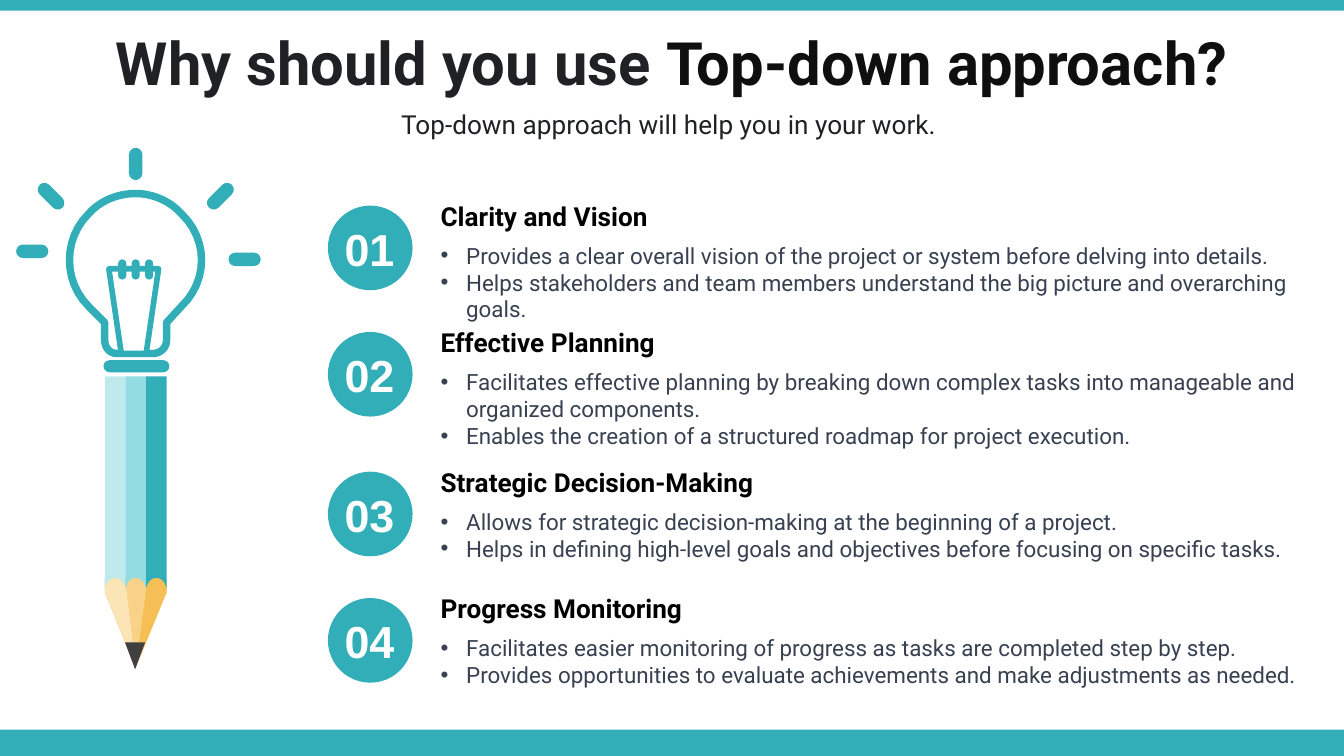
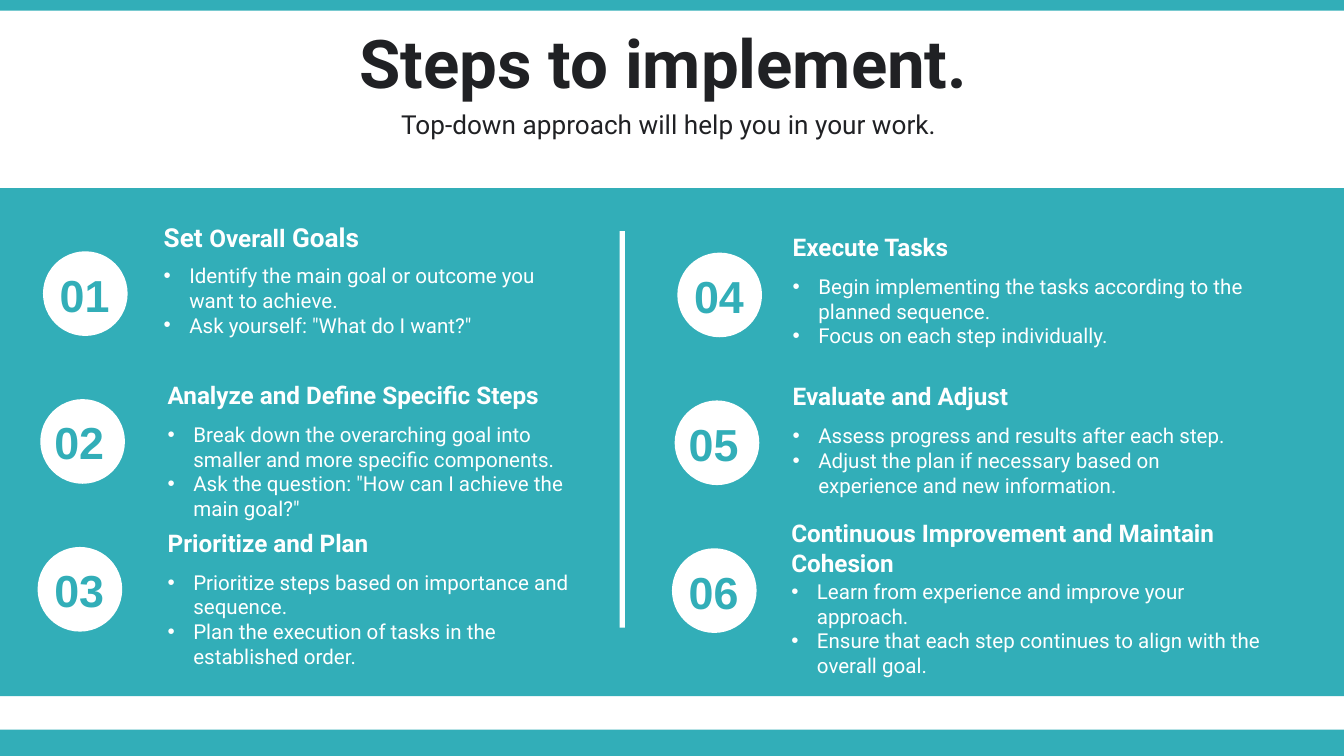
import lxml.etree
import pptx
import pptx.dml.color
import pptx.enum.shapes
import pptx.enum.text
import pptx.oxml.ns
import pptx.util

Inches = pptx.util.Inches
RGBColor = pptx.dml.color.RGBColor
SHAPE = pptx.enum.shapes.MSO_SHAPE
ALIGN = pptx.enum.text.PP_ALIGN
ANCHOR = pptx.enum.text.MSO_ANCHOR
FIT = pptx.enum.text.MSO_AUTO_SIZE

TEAL = RGBColor(0x32, 0xAE, 0xB8)
TEAL_MID = RGBColor(0x92, 0xDC, 0xE2)
TEAL_PALE = RGBColor(0xBE, 0xEA, 0xED)
WOOD = RGBColor(0xF6, 0xBF, 0x56)
WOOD_MID = RGBColor(0xF8, 0xD2, 0x86)
WOOD_PALE = RGBColor(0xFB, 0xE4, 0xB6)
LEAD = RGBColor(0x40, 0x40, 0x40)
INK = RGBColor(0x20, 0x21, 0x24)
NEAR_BLACK = RGBColor(0x0F, 0x0F, 0x0F)
SLATE = RGBColor(0x37, 0x41, 0x51)
BLACK = RGBColor(0, 0, 0)
WHITE = RGBColor(0xFF, 0xFF, 0xFF)

SLIDE_WIDTH = 10
SLIDE_HEIGHT = SLIDE_WIDTH * 9 / 16
BADGE = 0.63
TAGLINE = "Top-down approach will help you in your work. "


def add_bullet(paragraph):
    properties = paragraph._p.get_or_add_pPr()
    properties.set("marL", str(Inches(0.19)))
    properties.set("indent", str(Inches(-0.19)))
    for tag, key, value in (("a:buFont", "typeface", "Arial"), ("a:buChar", "char", "•")):
        lxml.etree.SubElement(properties, pptx.oxml.ns.qn(tag)).set(key, value)


def write_text(frame, paragraphs, size, color, font="Roboto", bold=False,
               align=ALIGN.LEFT, bullet=False):
    frame.word_wrap = True
    for index, content in enumerate(paragraphs):
        paragraph = frame.add_paragraph() if index else frame.paragraphs[0]
        paragraph.alignment = align
        paragraph.space_before = pptx.util.Pt(0)
        if bullet:
            add_bullet(paragraph)
        parts = [(content, {})] if isinstance(content, str) else content
        for words, changes in parts:
            for number, line in enumerate(words.split("\n")):
                if number:
                    paragraph.add_line_break()
                run = paragraph.add_run()
                run.text = line
                run.font.name = font
                run.font.bold = bold
                run.font.size = pptx.util.Pt(changes.get("size", size))
                run.font.color.rgb = changes.get("color", color)


def trace(steps):
    points = [steps[0]]
    for step in steps[1:]:
        if len(step) == 2:
            points.append(step)
            continue
        nodes = [points[-1], step[:2], step[2:4], step[4:]]
        for t in (n / 12 for n in range(1, 13)):
            weights = ((1 - t) ** 3, 3 * t * (1 - t) ** 2, 3 * t * t * (1 - t), t ** 3)
            points.append(tuple(sum(w * node[axis] for w, node in zip(weights, nodes))
                                for axis in (0, 1)))
    return [(Inches(x), Inches(y)) for x, y in points]


class Deck:
    def __init__(self):
        self.presentation = pptx.Presentation()
        self.presentation.slide_width = Inches(SLIDE_WIDTH)
        self.presentation.slide_height = Inches(SLIDE_HEIGHT)
        self.layout = self.presentation.slide_layouts[0]
        for holder, (top, height) in zip(self.layout.placeholders, ((0.14, 0.63), (0.77, 0.31))):
            holder.left, holder.top = Inches(0), Inches(top)
            holder.width, holder.height = Inches(SLIDE_WIDTH), Inches(height)
        self.canvas = None

    def start_slide(self, title, title_size):
        slide = self.presentation.slides.add_slide(self.layout)
        self.canvas = slide.shapes
        heading, tagline = slide.placeholders
        for holder, content, size, bold in ((heading, title, title_size, True),
                                            (tagline, TAGLINE, 14, False)):
            frame = holder.text_frame
            frame.auto_size = FIT.NONE
            frame.vertical_anchor = ANCHOR.MIDDLE
            write_text(frame, [content], size, INK, bold=bold, align=ALIGN.CENTER)

    def share_bands(self):
        for number, (top, height) in enumerate(((5.43, 0.2), (0, 0.08))):
            band = self.shape(SHAPE.RECTANGLE, 0, top, SLIDE_WIDTH, height, TEAL).element
            band.nvSpPr.cNvPr.id = 20 + number
            self.layout.shapes.element.insert(2, band)

    def paint(self, shape, fill, line=None, weight=0):
        shape.shadow.inherit = False
        shape.fill.solid()
        shape.fill.fore_color.rgb = fill
        if line is None:
            shape.line.fill.background()
        else:
            shape.line.color.rgb = line
            shape.line.width = pptx.util.Pt(weight)
        return shape

    def shape(self, kind, left, top, width, height, fill, line=None, weight=0, rotation=0):
        shape = self.canvas.add_shape(kind, Inches(left), Inches(top),
                                      Inches(width), Inches(height))
        shape.rotation = rotation
        return self.paint(shape, fill, line, weight)

    def pill(self, left, top, width, height, rotation=0):
        pill = self.shape(SHAPE.ROUNDED_RECTANGLE, left, top, width, height, TEAL,
                          rotation=rotation)
        pill.adjustments[0] = 0.5

    def outline(self, steps, fill, line=None, weight=0):
        points = trace(steps)
        builder = self.canvas.build_freeform(*points[0])
        builder.add_line_segments(points[1:], close=True)
        self.paint(builder.convert_to_shape(), fill, line, weight)

    def text(self, left, top, width, height, paragraphs, **style):
        box = self.canvas.add_textbox(Inches(left), Inches(top), Inches(width), Inches(height))
        write_text(box.text_frame, paragraphs, **style)
        box.text_frame.auto_size = FIT.SHAPE_TO_FIT_TEXT

    def badge(self, left, top, number, fill, color, shift=-0.04):
        self.shape(SHAPE.OVAL, left, top, BADGE, BADGE, fill)
        self.text(left + shift, top + 0.07, 0.7, 0.5, [f"{number:02}"], size=24, color=color,
                  font="Arial", bold=True, align=ALIGN.CENTER)

    def topic(self, left, top, width, heading, points, heights, sizes, colors, gap=0.31):
        self.text(left, top + gap, width, heights[1], points, size=sizes[1],
                  color=colors[1], bullet=True)
        self.text(left, top, width, heights[0], [heading], size=sizes[0],
                  color=colors[0], bold=True)


def draw_pencil_bulb(deck):
    slide_canvas = deck.canvas
    deck.canvas = slide_canvas.add_group_shape().shapes
    deck.outline([(0.78, 4.3), (1.24, 4.3), (1.24, 4.41), (1.01, 4.97), (0.78, 4.41)], WOOD)
    deck.outline([(0.93, 4.29), (1.09, 4.29), (1.09, 4.37), (1.01, 4.97), (0.93, 4.4)], WOOD_MID)
    deck.outline([(0.78, 4.3), (0.93, 4.3), (0.93, 4.32, 0.93, 4.35, 0.94, 4.38),
                  (1.01, 4.96), (0.78, 4.41)], WOOD_PALE)
    strip = 0.46 / 3
    for index, color in enumerate((TEAL_PALE, TEAL_MID, TEAL)):
        left = 0.78 + index * strip
        right, middle = left + strip, left + strip / 2
        deck.outline([(left, 2.8), (right, 2.8), (right, 4.38),
                      (right - 0.01, 4.33, right - 0.04, 4.3, middle, 4.3),
                      (left + 0.04, 4.3, left + 0.01, 4.33, left, 4.38)], color)
    deck.shape(SHAPE.ISOSCELES_TRIANGLE, 0.93, 4.78, 0.15, 0.2, LEAD, rotation=180)

    deck.outline([(1.01, 1.44), (1.13, 1.44, 1.26, 1.49, 1.35, 1.59),
                  (1.55, 1.78, 1.55, 2.09, 1.35, 2.28), (1.24, 2.4), (1.24, 2.53),
                  (1.24, 2.59, 1.19, 2.63, 1.14, 2.63), (0.87, 2.63),
                  (0.82, 2.63, 0.78, 2.59, 0.78, 2.53), (0.78, 2.4), (0.66, 2.28),
                  (0.47, 2.09, 0.47, 1.78, 0.66, 1.59),
                  (0.75, 1.49, 0.88, 1.44, 1.01, 1.44)], WHITE, TEAL, 4)
    deck.shape(SHAPE.TRAPEZOID, 0.81, 2, 0.37, 0.63, WHITE, TEAL, 3, rotation=180)
    for left, top, rotation in ((1.59, 1.34, 45), (0.33, 1.34, 315), (0.96, 1.1, 0),
                                (1.77, 1.81, 90), (0.19, 1.75, 270)):
        deck.pill(left, top, 0.1, 0.24, rotation)
    deck.pill(0.77, 2.68, 0.49, 0.09)
    for index in range(3):
        deck.pill(0.88 + 0.1 * index, 1.93, 0.06, 0.15)
    deck.canvas = slide_canvas


REASONS = [
    (1.44, 0.91, "Clarity and Vision", [
        "Provides a clear overall vision of the project or system before delving into details.",
        "Helps stakeholders and team members understand the big picture and overarching goals."]),
    (2.38, 0.71, "Effective Planning", [
        "Facilitates effective planning by breaking down complex tasks into manageable and "
        "organized components.",
        "Enables the creation of a structured roadmap for project execution."]),
    (3.42, 0.5, "Strategic Decision-Making", [
        "Allows for strategic decision-making at the beginning of a project.",
        "Helps in defining high-level goals and objectives before focusing on specific tasks."]),
    (4.36, 0.5, "Progress Monitoring", [
        "Facilitates easier monitoring of progress as tasks are completed step by step.",
        "Provides opportunities to evaluate achievements and make adjustments as needed."]),
]

STEPS = [
    (1.12, 1.6, 3.33, 0.34, 0.66, [("Set ", {"size": 14}), ("Overall", {}),
                                   (" Goals", {"size": 14})], [
        "Identify the main goal or outcome you want to achieve.",
        'Ask yourself: "What do I want?"']),
    (1.15, 2.78, 3.3, 0.32, 0.84, "Analyze and Define Specific Steps", [
        "Break down the overarching goal into\nsmaller and more specific components.",
        'Ask the question: "How can I achieve the\nmain goal?"']),
    (1.15, 3.88, 3.3, 0.32, 0.84, "Prioritize and Plan", [
        "Prioritize steps based on importance and\nsequence.",
        "Plan the execution of tasks in the\nestablished order."]),
    (5.8, 1.68, 3.68, 0.32, 0.66, "Execute Tasks", [
        "Begin implementing the tasks according to the\nplanned sequence.",
        "Focus on each step individually."]),
    (5.8, 2.79, 3.68, 0.32, 0.66, "Evaluate and Adjust", [
        "Assess progress and results after each step.",
        "Adjust the plan if necessary based on\nexperience and new information."]),
    (5.79, 3.81, 3.7, 0.54, 0.84, "Continuous Improvement and Maintain\nCohesion", [
        "Learn from experience and improve your\napproach.",
        "Ensure that each step continues to align with the overall goal."]),
]


def build_reasons(deck):
    deck.start_slide([("Why should you use ", {}),
                      ("Top-down approach?", {"color": NEAR_BLACK})], 32)
    deck.share_bands()
    draw_pencil_bulb(deck)
    for number, (top, height, heading, points) in enumerate(REASONS, 1):
        deck.badge(2.44, top + 0.09, number, TEAL, WHITE)
        deck.topic(3.18, top, 6.58, heading, points, (0.34, height), (14, 12), (BLACK, SLATE))


def build_steps(deck):
    deck.start_slide("Steps to implement. ", 36)
    deck.shape(SHAPE.RECTANGLE, 0, 1.4, SLIDE_WIDTH, 3.78, TEAL)
    deck.shape(SHAPE.RECTANGLE, 4.61, 1.72, 0.04, 2.95, WHITE)
    for index, (left, top, width, head_height, list_height, heading, points) in enumerate(STEPS):
        column, row = divmod(index, 3)
        deck.badge(0.32 + 4.72 * column - 0.02 * row, 1.87 + 0.01 * column + 1.1 * row,
                   index + 1, WHITE, TEAL, shift=-0.06 if row == 1 else -0.04)
        deck.topic(left, top, width, heading, points, (head_height, list_height), (13, 11),
                   (WHITE, WHITE), gap=0.45 if index == 5 else 0.31)


def main():
    deck = Deck()
    build_reasons(deck)
    build_steps(deck)
    deck.presentation.save("out.pptx")


if __name__ == "__main__":
    main()
